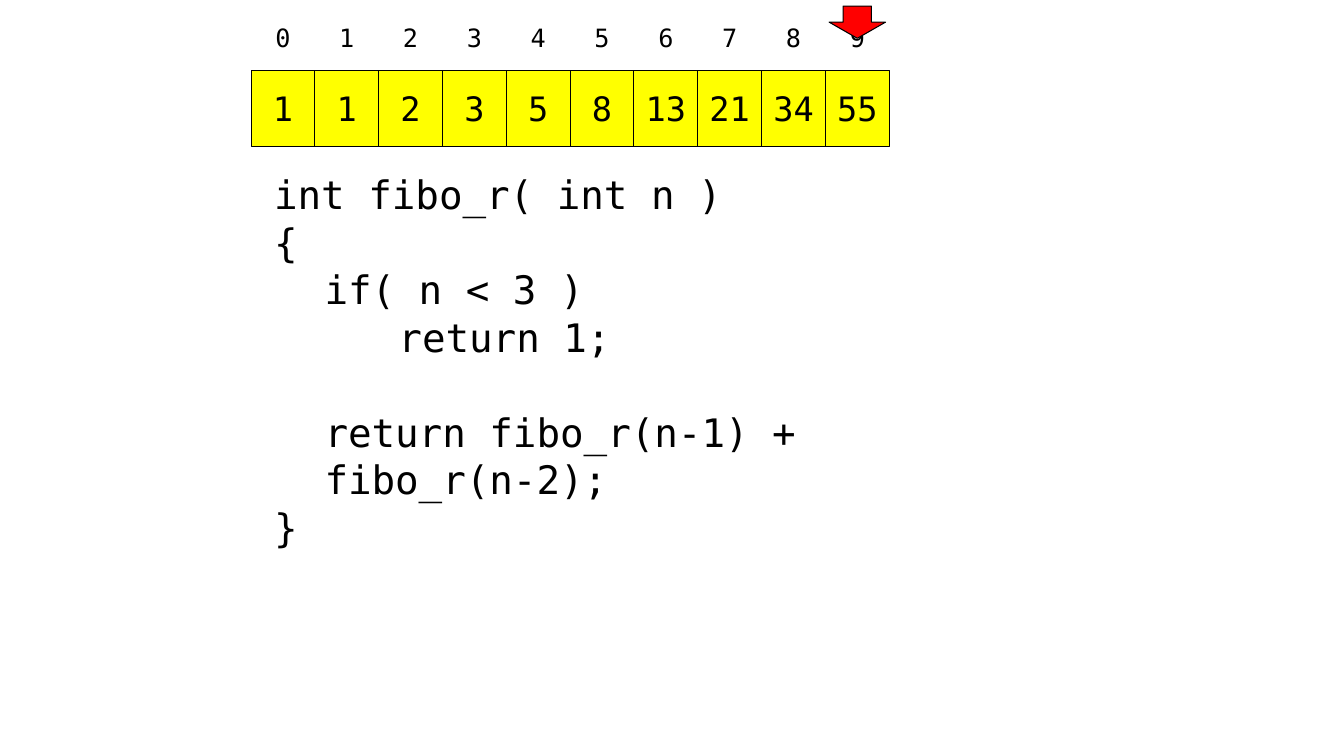
import pptx
import pptx.dml.color
import pptx.enum.shapes
import pptx.enum.text
import pptx.util

Inch = pptx.util.Inches
Pt = pptx.util.Pt
SHAPE = pptx.enum.shapes.MSO_SHAPE
ANCHOR = pptx.enum.text.MSO_ANCHOR
ALIGN = pptx.enum.text.PP_ALIGN

COLORS = {"ink": "000000", "cell": "FFFF00", "arrow": "FF0000"}
FONT = "DejaVu Sans Mono"

# Grid of the array: ten equal columns
VALUES = [1, 1, 2, 3, 5, 8, 13, 21, 34, 55]
LEFT = 2.49
COL = 6.33 / len(VALUES)
ROW = 0.75
TOP = 0.7

# Code lines: text, level, blank lines above
CODE = [
    ("int fibo_r( int n )", 0, 0),
    ("{", 0, 0),
    ("if( n < 3 )", 1, 0),
    ("\t return 1;", 1, 0),
    ("return fibo_r(n-1) + fibo_r(n-2);", 1, 1),
    ("}", 0, 0),
]
PITCH = 33.9


def color(name):
    return pptx.dml.color.RGBColor.from_string(COLORS[name])


def style(para, size):
    for run in para.runs:
        run.font.name = FONT
        run.font.size = Pt(size)
        run.font.color.rgb = color("ink")


def center(shape, text, size):
    frame = shape.text_frame
    frame.text = str(text)
    frame.word_wrap = True
    frame.vertical_anchor = ANCHOR.MIDDLE
    frame.paragraphs[0].alignment = ALIGN.CENTER
    style(frame.paragraphs[0], size)


def block(slide, kind, fill, box):
    shape = slide.shapes.add_shape(kind, *map(Inch, box))
    shape.shadow.inherit = False
    shape.fill.solid()
    shape.fill.fore_color.rgb = color(fill)
    shape.line.color.rgb = color("ink")
    shape.line.width = Pt(0.75)
    return shape


def array(slide):
    lefts = [LEFT + COL * col for col in range(len(VALUES))]
    for left, value in zip(lefts, VALUES):
        cell = block(slide, SHAPE.RECTANGLE, "cell", (left, TOP, COL, ROW))
        center(cell, value, 24)
    for index, left in enumerate(lefts):
        label = slide.shapes.add_textbox(*map(Inch, (left, 0, COL, ROW)))
        center(label, index, 18)


def code(slide):
    box = slide.shapes.add_textbox(*map(Inch, (2.62, 1.64, 7.82, 3.4)))
    frame = box.text_frame
    frame.word_wrap = True
    frame.auto_size = pptx.enum.text.MSO_AUTO_SIZE.SHAPE_TO_FIT_TEXT
    frame.text = "\n".join(text for text, level, gap in CODE)
    for para, (text, level, gap) in zip(frame.paragraphs, CODE):
        para.level = level
        props = para._p.get_or_add_pPr()
        props.set("marL", str(Inch(0.5 * level)))
        props.set("indent", "0")
        para.line_spacing = Pt(PITCH)
        if gap:
            para.space_before = Pt(PITCH * gap)
        style(para, 28)


def pointer(slide, col):
    width = 0.56
    left = LEFT + COL * col + (COL - width) / 2
    block(slide, SHAPE.DOWN_ARROW, "arrow", (left, 0.06, width, 0.32))


def main():
    deck = pptx.Presentation()
    deck.slide_width = Inch(13.33)
    deck.slide_height = Inch(7.5)
    slide = deck.slides.add_slide(deck.slide_layouts[6])
    array(slide)
    code(slide)
    # Arrow over the last column
    pointer(slide, len(VALUES) - 1)
    deck.save("out.pptx")


if __name__ == "__main__":
    main()
